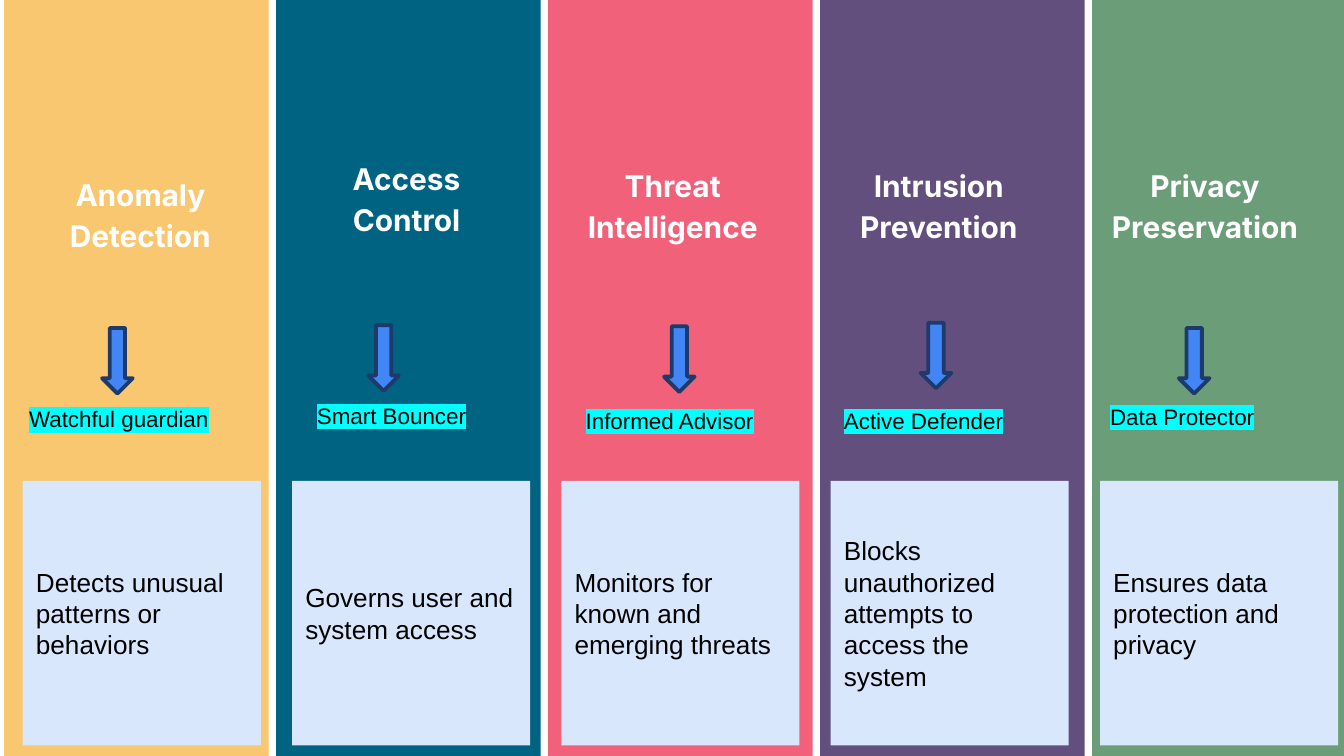
from lxml import etree
from pptx import Presentation
from pptx.dml.color import RGBColor
from pptx.enum.shapes import MSO_SHAPE
from pptx.enum.text import MSO_ANCHOR, MSO_AUTO_SIZE, PP_ALIGN
from pptx.oxml.ns import qn
from pptx.util import Cm, Pt

RECT, ARROW = MSO_SHAPE.RECTANGLE, MSO_SHAPE.DOWN_ARROW
MIDDLE, TOP = MSO_ANCHOR.MIDDLE, MSO_ANCHOR.TOP
CENTER, LEFT = PP_ALIGN.CENTER, PP_ALIGN.LEFT
FIT = MSO_AUTO_SIZE.SHAPE_TO_FIT_TEXT

SLIDE_W, SLIDE_H = 25.4, 14.29
BAND_W = 5
CARD, ARROW_FILL, ARROW_LINE = "D9E7FD", "4285F4", "1D3A6B"
HIGHLIGHT = "00FFFF"

COLUMNS = [
    {"color": "F8C770", "heading": "Anomaly Detection", "heading_top": 2.26, "drop": 0.81,
     "arrow": (1.93, 6.2), "role": "Watchful guardian", "role_at": (0.3, 7.54),
     "task": "Detects unusual patterns or behaviors"},
    {"color": "006382", "heading": "Access Control", "heading_top": 1.55, "drop": 0,
     "arrow": (6.96, 6.15), "role": "Smart Bouncer", "role_at": (5.74, 7.47),
     "task": "Governs user and system access"},
    {"color": "F2617A", "heading": "Threat Intelligence", "heading_top": 1.68, "drop": 0,
     "arrow": (12.55, 6.17), "role": "Informed Advisor", "role_at": (10.82, 7.57),
     "task": "Monitors for known and emerging threats"},
    {"color": "634F7D", "heading": "Intrusion Prevention", "heading_top": 1.68, "drop": 0,
     "arrow": (17.4, 6.1), "role": "Active Defender", "role_at": (15.7, 7.57),
     "task": "Blocks unauthorized attempts to access the system"},
    {"color": "6B9E78", "heading": "Privacy Preservation", "heading_top": 1.68, "drop": 0,
     "arrow": (22.28, 6.2), "role": "Data Protector", "role_at": (20.73, 7.49),
     "task": "Ensures data protection and privacy"},
]

HEADING = {"name": "Inter", "size": Pt(16), "bold": True}
ROLE = {"name": "Arial", "size": Pt(12)}
TASK = {"name": "Arial", "size": Pt(14)}


def rgb(value):
    """Turn a hex string into a colour."""
    return RGBColor.from_string(value)


def add_block(s, kind, box, fill, line=None):
    """Add a filled preset shape, outlined only if a line colour is given."""
    sp = s.shapes.add_shape(kind, *map(Cm, box))
    sp.shadow.inherit = False
    sp.fill.solid()
    sp.fill.fore_color.rgb = rgb(fill)
    if line:
        sp.line.color.rgb = rgb(line)
        sp.line.width = Pt(2)
    else:
        sp.line.fill.background()
    return sp


def add_box(s, box):
    """Add an empty text box."""
    return s.shapes.add_textbox(*map(Cm, box))


def write(sp, text, font, color, frame, align=LEFT, spacing=1.0):
    """Write one formatted paragraph into a shape."""
    tf = sp.text_frame
    for key, value in {"word_wrap": True, **frame}.items():
        setattr(tf, key, value)
    p = tf.paragraphs[0]
    p.alignment, p.line_spacing = align, spacing
    r = p.add_run()
    r.text = text
    for key, value in font.items():
        setattr(r.font, key, value)
    r.font.color.rgb = rgb(color)
    return r


def highlight(r, color):
    """Mark a run with a highlight colour."""
    mark = etree.Element(qn("a:highlight"))
    etree.SubElement(mark, qn("a:srgbClr"), val=color)
    r.font._element.find(qn("a:solidFill")).addnext(mark)


def insets(size, bottom=None):
    """Give equal margins in centimetres, with an optional bottom one."""
    margins = {f"margin_{side}": Cm(size) for side in ("left", "top", "right", "bottom")}
    if bottom is not None:
        margins["margin_bottom"] = Cm(bottom)
    return margins


def main():
    """Build the slide column by column."""
    prs = Presentation()
    prs.slide_width, prs.slide_height = Cm(SLIDE_W), Cm(SLIDE_H)
    s = prs.slides.add_slide(prs.slide_layouts[6])

    for i, col in enumerate(COLUMNS):
        left = 0.08 + i * 5.14
        add_block(s, RECT, (left, 0, min(BAND_W, SLIDE_W - left), SLIDE_H), col["color"])

        heading = add_box(s, (0.56 + i * 5.03, col["heading_top"], 4.19, 4.32))
        frame = {"vertical_anchor": MIDDLE, **insets(0, col["drop"])}
        write(heading, col["heading"], HEADING, "FFFFFF", frame, CENTER, 1.15)

        add_block(s, ARROW, (*col["arrow"], 0.58, 1.24), ARROW_FILL, ARROW_LINE)

        role = add_box(s, (*col["role_at"], 4.42, 1.27))
        frame = {"vertical_anchor": TOP, "auto_size": FIT}
        highlight(write(role, col["role"], ROLE, "000000", frame), HIGHLIGHT)

        card = add_block(s, RECT, (0.43 + i * 5.09, 9.09, 4.5, 5), CARD)
        frame = {"vertical_anchor": MIDDLE, **insets(0.25)}
        write(card, col["task"], TASK, "000000", frame)

    prs.save("out.pptx")


if __name__ == "__main__":
    main()
